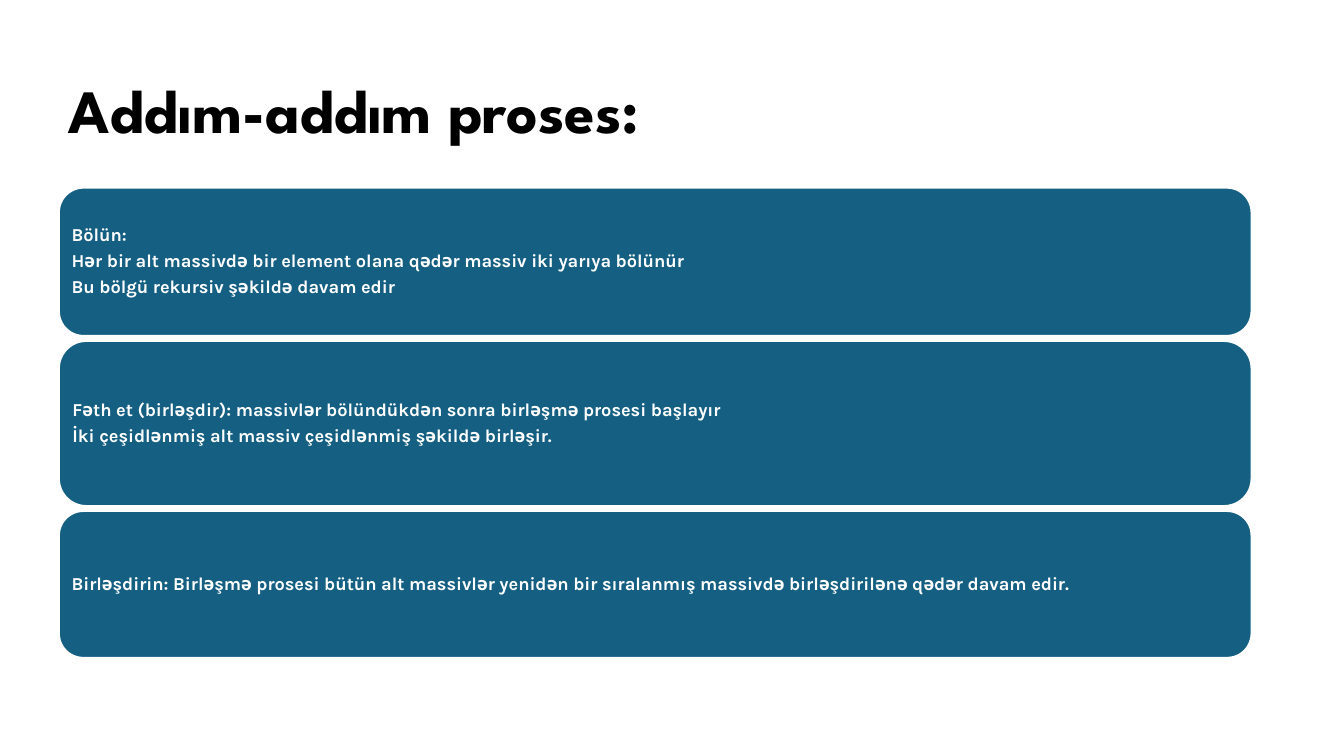
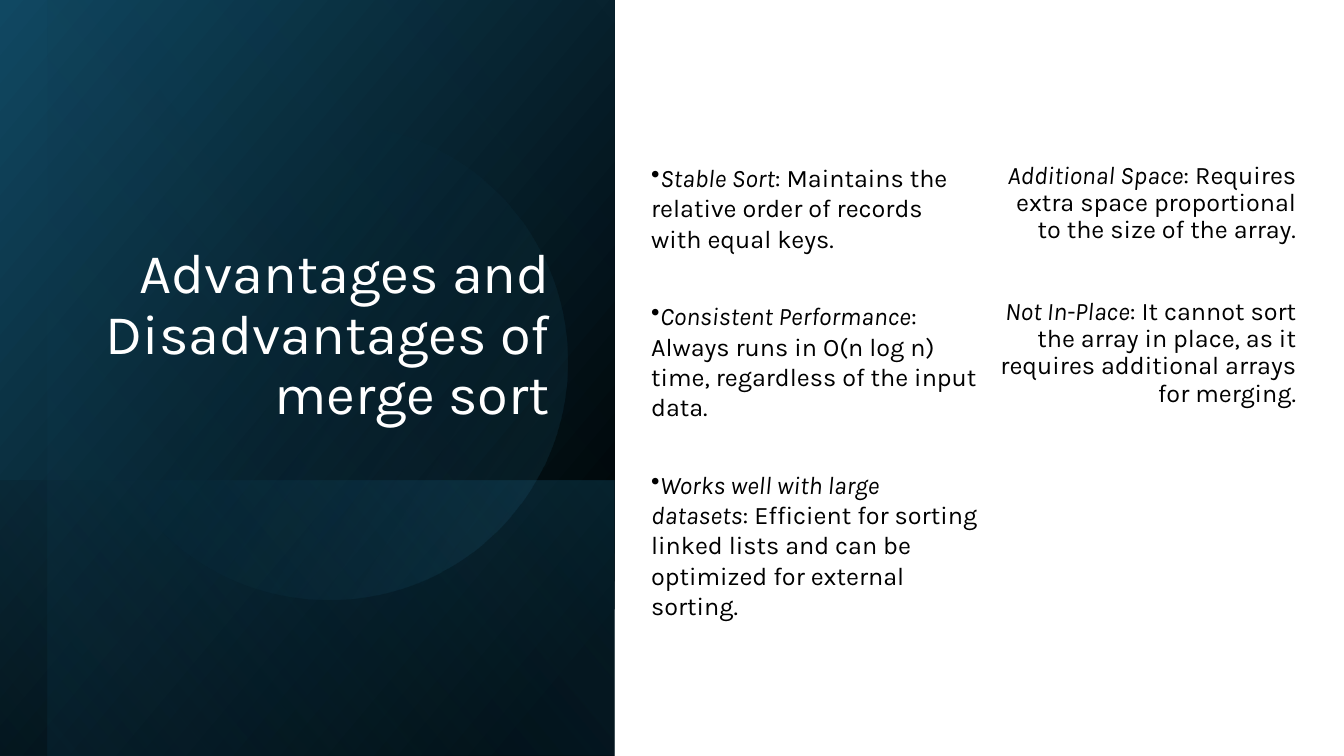
import dataclasses
import pptx
import pptx.dml.color
import pptx.enum.shapes
import pptx.enum.text
import pptx.oxml
import pptx.oxml.ns
import pptx.util

Pt = pptx.util.Pt
ALIGN = pptx.enum.text.PP_ALIGN
ANCHOR = pptx.enum.text.MSO_ANCHOR
SHAPES = pptx.enum.shapes.MSO_SHAPE


@dataclasses.dataclass(frozen=True)
class Theme:
    """Colours, fonts and type sizes shared by the slides."""
    ink: str = "000000"
    paper: str = "FFFFFF"
    teal: str = "156082"
    deep: str = "104862"
    sky: str = "46B1E1"
    display: str = "League Spartan"
    text: str = "Karla"
    heading: int = 44
    side_heading: int = 40
    body: int = 18
    card: int = 13


@dataclasses.dataclass(frozen=True)
class Box:
    """A rectangle in points."""
    left: float
    top: float
    width: float
    height: float

    def inside(self, left, top, width, height):
        """Return a box offset from this one's corner."""
        return Box(self.left + left, self.top + top, width, height)

    def turned(self):
        """Return the box that covers this one after a quarter turn."""
        shift = (self.width - self.height) / 2
        return Box(self.left + shift, self.top - shift, self.height, self.width)

    def lengths(self):
        """Return left, top, width and height as lengths."""
        return [Pt(value) for value in dataclasses.astuple(self)]


THEME = Theme()
STEPS = [
    (106, ["Bölün:",
           "Hər bir alt massivdə bir element olana qədər massiv iki yarıya bölünür",
           "Bu bölgü rekursiv şəkildə davam edir"]),
    (118, ["Fəth et (birləşdir): massivlər bölündükdən sonra birləşmə prosesi başlayır",
           "İki çeşidlənmiş alt massiv çeşidlənmiş şəkildə birləşir."]),
    (105, ["Birləşdirin: Birləşmə prosesi bütün alt massivlər yenidən bir sıralanmış "
           "massivdə birləşdirilənə qədər davam edir."]),
]
ADVANTAGES = [
    ("Stable Sort", ": Maintains the relative order of records with equal keys."),
    ("Consistent Performance",
     ": Always runs in O(n log n) time, regardless of the input data."),
    ("Works well with large datasets",
     ": Efficient for sorting linked lists and can be optimized for external sorting."),
]
DISADVANTAGES = [
    ("Additional Space", ": Requires extra space proportional to the size of the array."),
    ("Not In-Place",
     ": It cannot sort the array in place, as it requires additional arrays for merging."),
]


def rgb(code):
    """Turn a hex code into a colour."""
    return pptx.dml.color.RGBColor.from_string(code)


def style(para, size, colour, face=THEME.text, bold=False, align=ALIGN.LEFT, spacing=0.9):
    """Set the font, alignment and line spacing of a paragraph."""
    para.font.name, para.font.size, para.font.bold = face, Pt(size), bold
    para.font.color.rgb = rgb(colour)
    para.alignment, para.line_spacing = align, spacing


def add_title(page, box, text, anchor, **look):
    """Place the title placeholder in front of everything drawn so far."""
    title = page.shapes.title
    title.left, title.top, title.width, title.height = box.lengths()
    frame = title.text_frame
    frame.text = text
    frame.word_wrap, frame.vertical_anchor = True, anchor
    frame.auto_size = pptx.enum.text.MSO_AUTO_SIZE.NONE
    style(frame.paragraphs[0], **look)
    page.shapes._spTree.append(title.element)


def add_cards(page, box, steps, gap=3.5):
    """Stack rounded cards down the box, one for each step."""
    top = 0
    for height, lines in steps:
        place = box.inside(0, top, box.width, height)
        card = page.shapes.add_shape(SHAPES.ROUNDED_RECTANGLE, *place.lengths())
        card.shadow.inherit = False
        card.fill.solid()
        card.fill.fore_color.rgb = rgb(THEME.teal)
        card.line.color.rgb, card.line.width = rgb(THEME.paper), Pt(1.5)
        frame = card.text_frame
        frame.word_wrap, frame.vertical_anchor = True, ANCHOR.MIDDLE
        frame.margin_left = frame.margin_right = Pt(4)
        frame.text = "\n".join(lines)
        for para in frame.paragraphs:
            style(para, THEME.card, THEME.paper, bold=True)
            para.space_after = Pt(4.5)
        top += height + gap


def add_glow(page, box, stops, angle, kind=SHAPES.RECTANGLE, rotation=90, flip=True):
    """Draw a turned shape with a gradient of (position, colour, opacity) stops."""
    glow = page.shapes.add_shape(kind, *box.turned().lengths())
    glow.rotation = rotation
    if flip:
        glow.element.spPr.xfrm.set("flipH", "1")
    glow.shadow.inherit = False
    glow.line.fill.background()
    glow.fill.gradient()
    glow.fill.gradient_angle = 360 - angle
    for stop, (position, colour, _) in zip(glow.fill.gradient_stops, stops):
        stop.position, stop.color.rgb = position / 100, rgb(colour)
    tints = glow.element.spPr.iter(pptx.oxml.ns.qn("a:srgbClr"))
    for tint, (_, _, opacity) in zip(tints, stops):
        alpha = pptx.oxml.parse_xml(f'<a:alpha {pptx.oxml.ns.nsdecls("a")} val="{opacity * 1000}"/>')
        tint.append(alpha)


def add_panel(page, box):
    """Layer the dark gradients of the title panel."""
    add_glow(page, box, [(8, THEME.ink, 100), (100, THEME.deep, 100)], 50)
    add_glow(page, box.inside(0, 343, box.width, 197),
             [(2, THEME.teal, 29), (100, THEME.ink, 30)], 130)
    add_glow(page, box.inside(34, 0, box.width - 34, box.height),
             [(0, THEME.ink, 0), (99, THEME.teal, 11)], 130)
    add_glow(page, box.inside(65, 88.5, 340, 340),
             [(39, THEME.teal, 0), (100, THEME.sky, 15)], 290,
             kind=SHAPES.OVAL, rotation=101.6, flip=False)


def add_points(page, box, points, gap, bullet=False, **look):
    """Write points with an italic lead, set apart by a gap."""
    frame = page.shapes.add_textbox(*box.lengths()).text_frame
    frame.word_wrap = True
    for index, (lead, rest) in enumerate(points):
        para = frame.add_paragraph() if index else frame.paragraphs[0]
        style(para, THEME.body, THEME.ink, **look)
        para.space_before = Pt(gap if index else 0)
        for text, italic in ((lead, True), (rest, False)):
            span = para.add_run()
            span.text, span.font.italic = text, italic
        if bullet:
            mark = pptx.oxml.parse_xml(f'<a:buChar {pptx.oxml.ns.nsdecls("a")} char="•"/>')
            properties = para._p.get_or_add_pPr()
            properties.set("marL", "0")
            properties.set("indent", "0")
            properties.find(pptx.oxml.ns.qn("a:defRPr")).addprevious(mark)


def build_process(page):
    """Build the slide of process steps."""
    add_title(page, Box(42, 53, 828, 56), "Addım-addım proses:", ANCHOR.MIDDLE,
              size=THEME.heading, colour=THEME.ink, face=THEME.display, bold=True)
    add_cards(page, Box(42, 134, 852, 336), STEPS)


def build_comparison(page):
    """Build the slide of advantages and disadvantages."""
    add_panel(page, Box(0, 0, 439, 540))
    add_title(page, Box(52, 70.5, 348, 238), "Advantages and Disadvantages of merge sort",
              ANCHOR.BOTTOM, size=THEME.side_heading, colour=THEME.paper, align=ALIGN.RIGHT)
    add_points(page, Box(706, 112.5, 227, 250), DISADVANTAGES, 39, align=ALIGN.RIGHT)
    add_points(page, Box(458, 112.5, 248, 293), ADVANTAGES, 34, bullet=True, spacing=1.0)


def main():
    """Build and save the deck."""
    deck = pptx.Presentation()
    deck.slide_width, deck.slide_height = Pt(960), Pt(540)
    for build in (build_process, build_comparison):
        build(deck.slides.add_slide(deck.slide_layouts[5]))
    deck.save("out.pptx")


if __name__ == "__main__":
    main()
